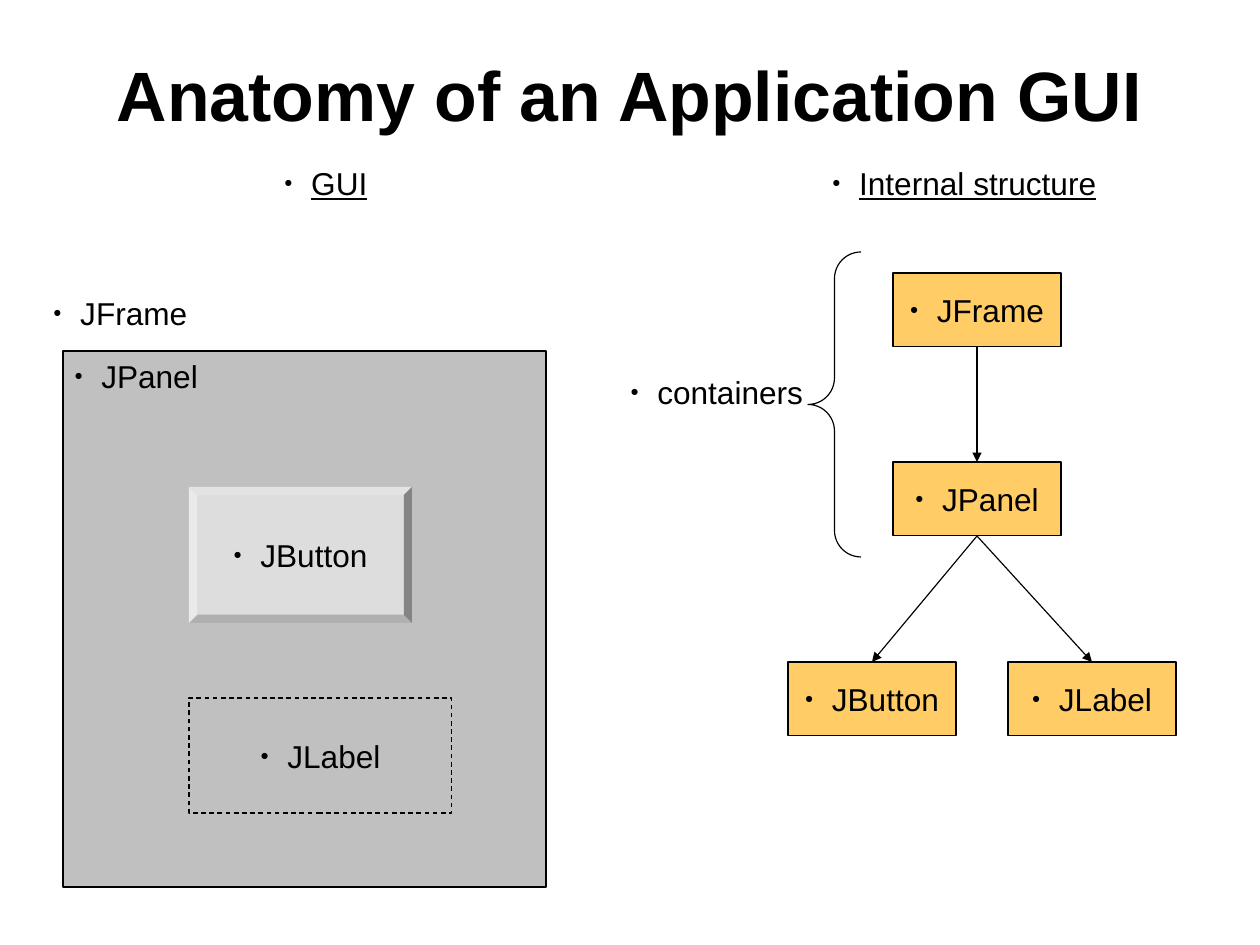
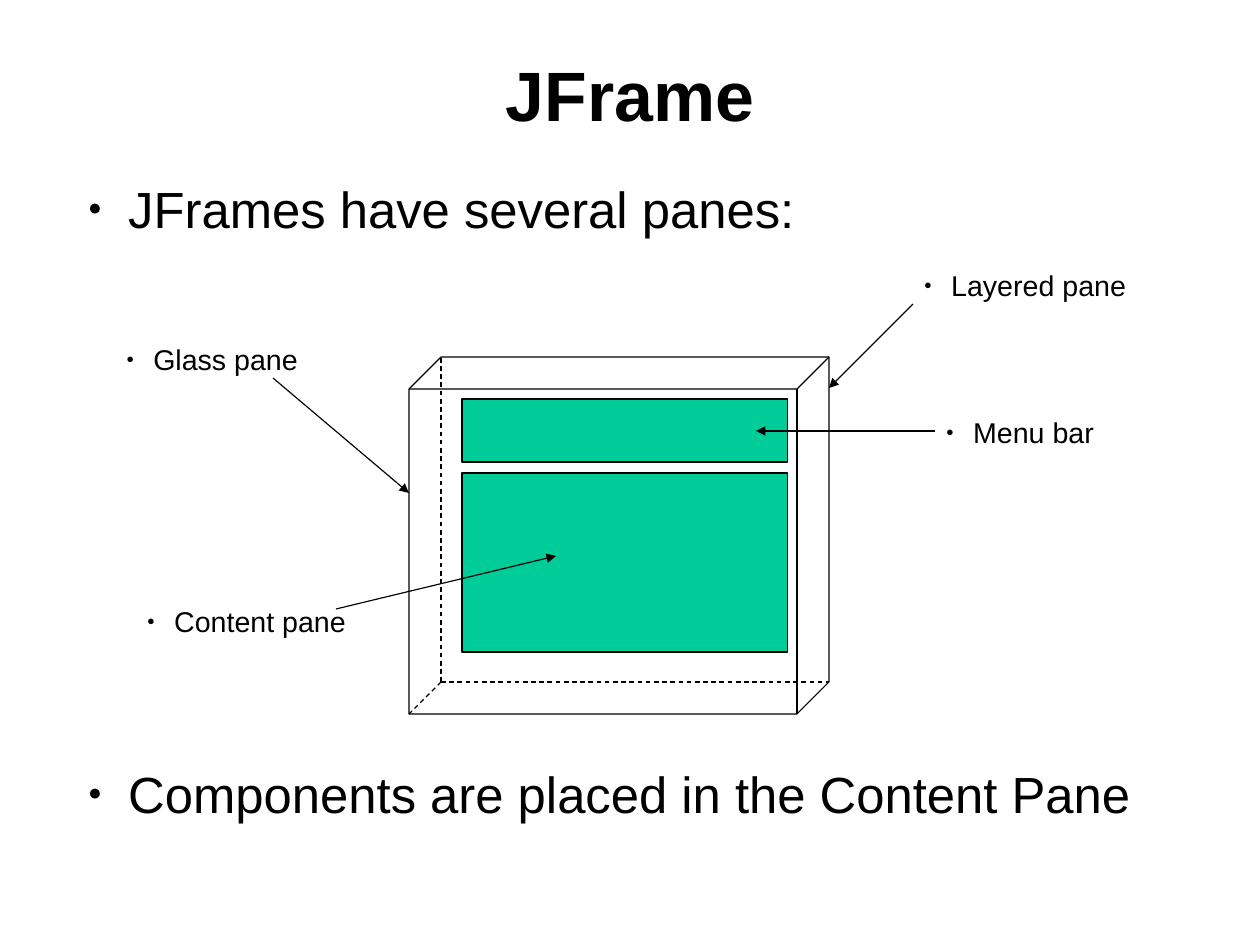
import dataclasses

import lxml.etree
import pptx
import pptx.dml.color
import pptx.enum.dml
import pptx.enum.shapes
import pptx.enum.text
import pptx.oxml.ns
import pptx.util

SHAPE = pptx.enum.shapes.MSO_SHAPE
ALIGN = pptx.enum.text.PP_ALIGN
ANCHOR = pptx.enum.text.MSO_ANCHOR
EMU_PER_PIXEL = 8000


@dataclasses.dataclass(frozen=True)
class Theme:
    font: str = "Arial"
    ink: str = "000000"
    frame: str = "C0C0C0"
    button: str = "DDDDDD"
    node: str = "FFCC66"
    pane: str = "00CC99"
    title_size: float = 44
    body_size: float = 32
    label_size: float = 19.9
    note_size: float = 18
    line_width: float = 0.74
    bullet: str = "●"
    bullet_percent: int = 45
    label_indent: int = 27
    body_indent: int = 40
    body_margin: int = 54


THEME = Theme()
SLIDE_SIZE = (1260, 945)
TITLE_BOX = (63, 38, 1134, 111)

ANATOMY_TITLE = "Anatomy of an Application GUI"
HEADINGS = [("GUI", (273, 158, 106, 49)), ("Internal structure", (821, 158, 287, 49))]
LABELS = [("JFrame", (42, 288, 157, 49)), ("containers", (619, 367, 195, 49))]
PANEL_BOX = (63, 351, 483, 536)
BUTTON_BOX = (189, 487, 223, 136)
LABEL_BOX = (189, 698, 263, 115)
BRACE_BOX = (808, 252, 53, 305)
NODE_SIZE = (168, 74)
NODES = {"JFrame": (893, 273), "JPanel": (893, 462), "JButton": (788, 662), "JLabel": (1008, 662)}
TREE = [("JFrame", "JPanel"), ("JPanel", "JButton"), ("JPanel", "JLabel")]

FRAME_TITLE = "JFrame"
BODY_BOX = (63, 172, 1109, 731)
BODY = [("JFrames have several panes:", 0), ("Components are placed in the Content Pane", 330)]
CUBE_BOX = (409, 357, 420, 357)
CUBE_DEPTH = 32
PANES = [(462, 399, 326, 63), (462, 473, 326, 179)]
NOTE_HEIGHT = 46
NOTES = [
    ("Glass pane", (115, 336, 194), (273, 378), (409, 493)),
    ("Layered pane", (913, 262, 224), (913, 304), (829, 388)),
    ("Menu bar", (935, 409, 170), (935, 431), (756, 431)),
    ("Content pane", (136, 598, 222), (336, 609), (556, 556)),
]


def pixels(values):
    return [pptx.util.Emu(value * EMU_PER_PIXEL) for value in values]


def color(value):
    return pptx.dml.color.RGBColor.from_string(value)


def add_child(parent, tag, **attributes):
    return lxml.etree.SubElement(parent, pptx.oxml.ns.qn(tag), attributes)


def set_bullet(paragraph, margin, indent):
    properties = paragraph._p.get_or_add_pPr()
    properties.set("marL", str(margin * EMU_PER_PIXEL))
    properties.set("indent", str(-indent * EMU_PER_PIXEL))
    add_child(add_child(properties, "a:buClr"), "a:srgbClr", val=THEME.ink)
    add_child(properties, "a:buSzPct", val=str(THEME.bullet_percent * 1000))
    add_child(properties, "a:buFont", typeface=THEME.font)
    add_child(properties, "a:buChar", char=THEME.bullet)


def set_font(paragraph, size, bold=False, underline=False):
    font = paragraph.font
    font.name = THEME.font
    font.size = pptx.util.Pt(size)
    font.color.rgb = color(THEME.ink)
    font.bold = bold
    font.underline = underline


def write_label(shape, text, size, align, underline=False):
    shape.text_frame.word_wrap = True
    paragraph = shape.text_frame.paragraphs[0]
    paragraph.text = text
    paragraph.alignment = align
    set_bullet(paragraph, THEME.label_indent, THEME.label_indent)
    set_font(paragraph, size, underline=underline)


def set_line(line, dashed=False):
    line.color.rgb = color(THEME.ink)
    line.width = pptx.util.Pt(THEME.line_width)
    if dashed:
        line.dash_style = pptx.enum.dml.MSO_LINE.DASH


def add_title(slide, text):
    shape = slide.shapes.add_textbox(*pixels(TITLE_BOX))
    shape.text_frame.word_wrap = True
    shape.text_frame.vertical_anchor = ANCHOR.MIDDLE
    paragraph = shape.text_frame.paragraphs[0]
    paragraph.text = text
    paragraph.alignment = ALIGN.CENTER
    set_font(paragraph, THEME.title_size, bold=True)


def add_label(slide, text, box, size=THEME.label_size, underline=False):
    shape = slide.shapes.add_textbox(*pixels(box))
    shape.text_frame.margin_right = 0
    write_label(shape, text, size, ALIGN.LEFT, underline)


def add_box(slide, box, fill=None, kind=SHAPE.RECTANGLE, text=None, align=ALIGN.CENTER, outlined=True, dashed=False):
    shape = slide.shapes.add_shape(kind, *pixels(box))
    shape.shadow.inherit = False
    if fill:
        shape.fill.solid()
        shape.fill.fore_color.rgb = color(fill)
    else:
        shape.fill.background()
    if outlined:
        set_line(shape.line, dashed)
    else:
        shape.line.fill.background()
    if text:
        write_label(shape, text, THEME.label_size, align)
    return shape


def add_line(slide, start, end, dashed=False, arrow=False):
    connector = slide.shapes.add_connector(
        pptx.enum.shapes.MSO_CONNECTOR.STRAIGHT, *pixels(start + end))
    set_line(connector.line, dashed)
    if arrow:
        add_child(connector.line._get_or_add_ln(), "a:tailEnd", type="triangle")
    add_child(connector._element.spPr, "a:effectLst")
    return connector


def build_anatomy(slide):
    add_title(slide, ANATOMY_TITLE)
    panel = add_box(slide, PANEL_BOX, THEME.frame, text="JPanel", align=ALIGN.LEFT)
    panel.text_frame.vertical_anchor = ANCHOR.TOP
    button = add_box(slide, BUTTON_BOX, THEME.button, SHAPE.BEVEL, "JButton", outlined=False)
    button.adjustments[0] = 0.06
    add_box(slide, LABEL_BOX, THEME.frame, text="JLabel", dashed=True)
    for text, box in HEADINGS:
        add_label(slide, text, box, underline=True)
    for text, box in LABELS:
        add_label(slide, text, box)
    nodes = {name: add_box(slide, corner + NODE_SIZE, THEME.node, text=name)
             for name, corner in NODES.items()}
    width, height = NODE_SIZE
    for parent, child in TREE:
        (parent_left, parent_top), (child_left, child_top) = NODES[parent], NODES[child]
        connector = add_line(slide, (parent_left + width // 2, parent_top + height),
                             (child_left + width // 2, child_top), arrow=True)
        connector.begin_connect(nodes[parent], 2)
        connector.end_connect(nodes[child], 0)
    brace = add_box(slide, BRACE_BOX, kind=SHAPE.LEFT_BRACE)
    brace.adjustments[0] = 0.5
    brace.adjustments[1] = 0.5


def build_frame(slide):
    add_title(slide, FRAME_TITLE)
    body = slide.shapes.add_textbox(*pixels(BODY_BOX)).text_frame
    body.word_wrap = True
    for index, (text, space) in enumerate(BODY):
        paragraph = body.add_paragraph() if index else body.paragraphs[0]
        paragraph.text = text
        set_bullet(paragraph, THEME.body_margin, THEME.body_indent)
        paragraph.space_before = pptx.util.Pt(space)
        set_font(paragraph, THEME.body_size)

    left, top, width, height = CUBE_BOX
    cube = add_box(slide, CUBE_BOX, kind=SHAPE.CUBE)
    cube.adjustments[0] = CUBE_DEPTH / height
    hidden_corner = (left + CUBE_DEPTH, top + height - CUBE_DEPTH)
    for end in [(hidden_corner[0], top), (left + width, hidden_corner[1]), (left, top + height)]:
        add_line(slide, hidden_corner, end, dashed=True)
    for box in PANES:
        add_box(slide, box, THEME.pane)
    for text, box, start, end in NOTES:
        add_label(slide, text, box + (NOTE_HEIGHT,), THEME.note_size)
        add_line(slide, start, end, arrow=True)


presentation = pptx.Presentation()
presentation.slide_width, presentation.slide_height = pixels(SLIDE_SIZE)
for build in (build_anatomy, build_frame):
    build(presentation.slides.add_slide(presentation.slide_layouts[6]))
presentation.save("out.pptx")
